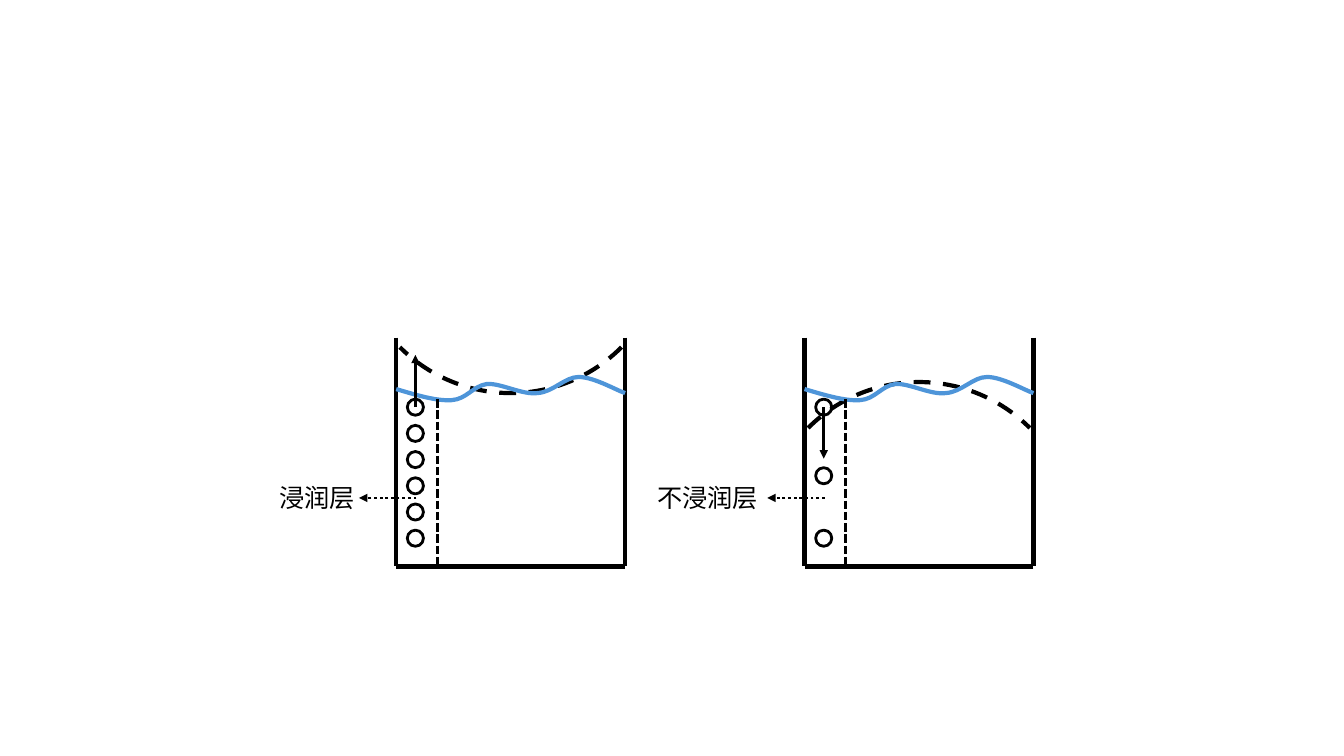
"""Draw two vessels comparing a wetting layer with a non-wetting layer."""
from dataclasses import dataclass
from typing import Any

from lxml import etree
from pptx import Presentation
from pptx import util as u
from pptx.dml.color import RGBColor
from pptx.enum import dml, shapes, text
from pptx.oxml.ns import qn

DASH = dml.MSO_LINE


@dataclass(frozen=True)
class Theme:
    ink: str = "000000"
    wave: str = "4E95D9"
    font: str = "Karla"
    size: float = 18
    thick: float = 3
    thin: float = 2


@dataclass(frozen=True)
class Vessel:
    left: float
    label: str
    start: float
    width: float
    dots: tuple[float, ...]
    force: float
    arc: float
    turn: float


THEME = Theme()
TOP, BASE, SIDE = 3.35, 5.62, 2.27
DOT, ARC = 0.16, 3.11
WAVE = (
    (0, 3.86), (0.2, 3.92), (0.4, 3.98), (0.55, 3.97),
    (0.7, 3.96), (0.76, 3.83), (0.9, 3.81),
    (1.04, 3.8), (1.25, 3.92), (1.4, 3.9),
    (1.56, 3.89), (1.67, 3.74), (1.81, 3.74),
    (1.96, 3.74), (2.18, 3.87), (2.27, 3.9),
)
VESSELS = (
    Vessel(3.93, "浸润层", 2.67, 0.98,
           tuple(3.96 + 0.26 * n for n in range(6)), 3.52, 0.79, 135),
    Vessel(7.98, "不浸润层", 6.42, 1.27, (3.96, 4.64, 5.26), 4.55, 3.79, 315),
)


def stroke(item: Any, width: float, color: str = THEME.ink, dash: Any = None) -> None:
    """Format the outline of a shape or connector."""
    item.line.color.rgb = RGBColor.from_string(color)
    item.line.width = u.Pt(width)
    if dash is not None:
        item.line.dash_style = dash


def rule(group: Any, start: tuple[float, float], end: tuple[float, float],
         width: float, dash: Any = None, head: bool = False) -> None:
    """Draw a straight line, with an arrowhead at its end if asked."""
    line = group.shapes.add_connector(
        shapes.MSO_CONNECTOR.STRAIGHT, *(u.Inches(v) for v in start + end))
    stroke(line, width, dash=dash)
    if head:
        etree.SubElement(line.line._get_or_add_ln(), qn("a:tailEnd"), type="triangle")
    etree.SubElement(line._element.spPr, qn("a:effectLst"))


def hollow(group: Any, kind: Any, left: float, top: float, size: float,
           width: float, dash: Any = None, turn: float = 0) -> None:
    """Draw an unfilled preset shape in a square box."""
    shape = group.shapes.add_shape(
        kind, *(u.Inches(v) for v in (left, top, size, size)))
    shape.shadow.inherit = False
    shape.fill.background()
    shape.rotation = turn
    stroke(shape, width, dash=dash)


def ripple(group: Any, left: float) -> None:
    """Draw the liquid surface as a chain of cubic curves."""
    first, *rest = [(u.Inches(left + x), u.Inches(y)) for x, y in WAVE]
    pen = group.shapes.build_freeform(*first, scale=1.0)
    pen.add_line_segments(rest, close=False)
    shape = pen.convert_to_shape()
    shape.shadow.inherit = False
    shape.fill.background()
    stroke(shape, THEME.thick, THEME.wave)
    steps = list(shape._element.iter(qn("a:lnTo")))
    route = steps[0].getparent()
    for n in range(0, len(steps), 3):
        curve = etree.SubElement(route, qn("a:cubicBezTo"))
        for step in steps[n:n + 3]:
            curve.append(step[0])
            route.remove(step)


def write(group: Any, words: str, *, left: float, top: float, width: float,
          height: float, size: float = THEME.size, color: str = THEME.ink) -> None:
    """Place one line of text."""
    box = group.shapes.add_textbox(*(u.Inches(v) for v in (left, top, width, height)))
    frame = box.text_frame
    frame.word_wrap = True
    frame.auto_size = text.MSO_AUTO_SIZE.SHAPE_TO_FIT_TEXT
    run = frame.paragraphs[0].add_run()
    run.text = words
    run.font.name = THEME.font
    run.font.size = u.Pt(size)
    run.font.color.rgb = RGBColor.from_string(color)


def draw(slide: Any, item: Vessel) -> None:
    """Draw one vessel with its surface, particles and label."""
    group = slide.shapes.add_group_shape()
    left, right = item.left, item.left + SIDE
    hollow(group, shapes.MSO_SHAPE.ARC, left + (SIDE - ARC) / 2, item.arc, ARC,
           THEME.thick, DASH.DASH, item.turn)
    for x in (left, right):
        rule(group, (x, TOP), (x, BASE), THEME.thick)
    rule(group, (right, BASE), (left, BASE), THEME.thick)
    ripple(group, left)
    for y in item.dots:
        hollow(group, shapes.MSO_SHAPE.OVAL, left + 0.11, y, DOT, THEME.thin)
    rule(group, (left + 0.41, 3.96), (left + 0.41, BASE), THEME.thin, DASH.SQUARE_DOT)
    rule(group, (left + 0.2, 4.94), (left - 0.37, 4.94), THEME.thin,
         DASH.ROUND_DOT, head=True)
    write(group, item.label, left=item.start, top=4.74, width=item.width, height=0.4)
    rule(group, (left + 0.19, 4.04), (left + 0.19, item.force), THEME.thin, head=True)


def main() -> None:
    """Build and save the slide."""
    deck = Presentation()
    deck.slide_width, deck.slide_height = u.Inches(13.33), u.Inches(7.5)
    slide = deck.slides.add_slide(deck.slide_layouts[6])
    for item in VESSELS:
        draw(slide, item)
    deck.save("out.pptx")


if __name__ == "__main__":
    main()
